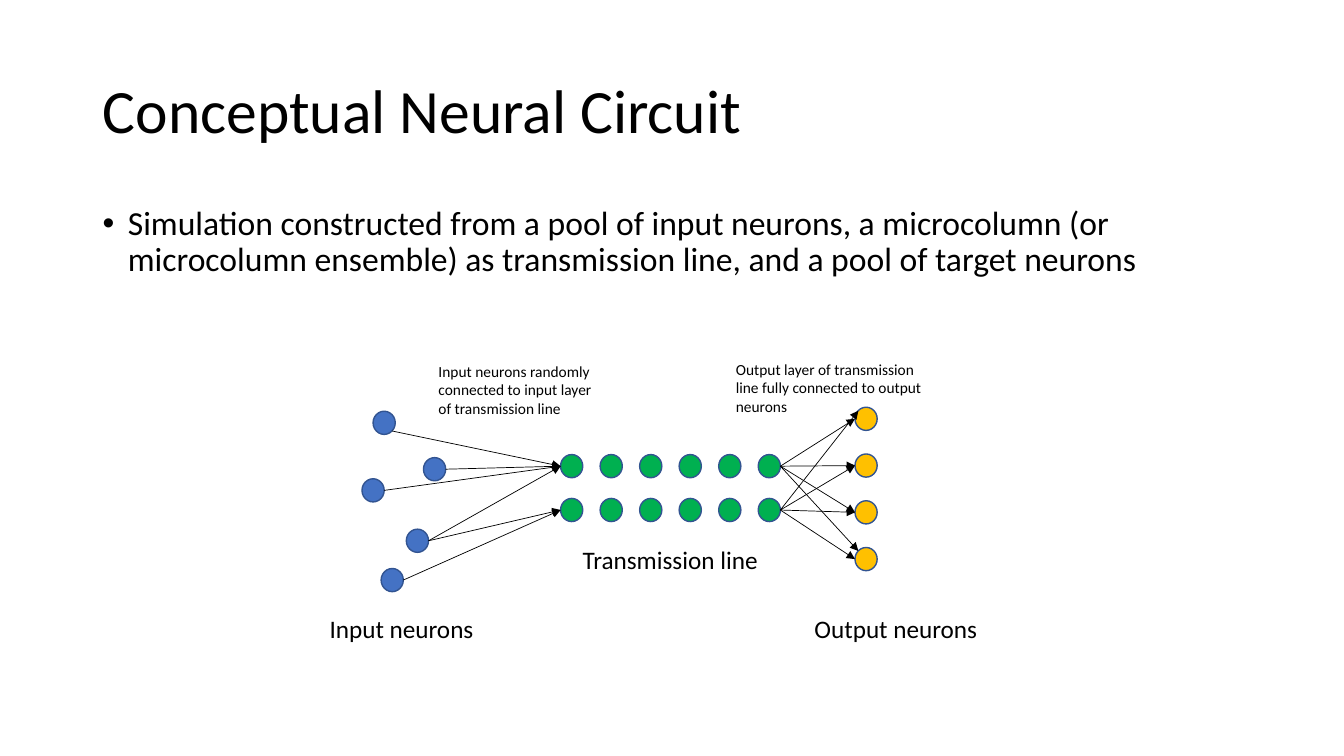
"""Build the Conceptual Neural Circuit slide."""
import pptx
import pptx.util
import pptx.dml.color
import pptx.enum.shapes
import pptx.enum.text
import pptx.oxml
import pptx.oxml.ns

Inches, Pt = pptx.util.Inches, pptx.util.Pt
RGB = pptx.dml.color.RGBColor
Anchor = pptx.enum.text.MSO_ANCHOR

COLORS = {"text": "000000", "input": "4472C4", "column": "00B050",
          "output": "FFC000", "edge": "325491"}
TITLE = "Conceptual Neural Circuit"
BODY = ("Simulation constructed from a pool of input neurons, a microcolumn "
        "(or microcolumn ensemble) as transmission line, and a pool of target neurons")
LABELS = [("Input neurons", (3.17, 6.04, 1.65, 0.4)),
          ("Transmission line", (5.68, 5.35, 1.96, 0.4)),
          ("Output neurons", (7.98, 6.04, 1.84, 0.4))]
NOTES = [("Input neurons randomly connected to input layer of transmission line",
          (4.25, 3.54, 1.79, 0.66)),
         ("Output layer of transmission line fully connected to output neurons",
          (7.2, 3.52, 2.1, 0.66))]

WIDE, HIGH = 0.22, 0.23
COLS, ROWS, OUTS = 6, 2, 4
SITES = {"left": (0, 0.5), "right": (1, 0.5),
         "upper": (0.15, 0.15), "lower": (0.85, 0.85)}
INPUTS = [(3.7, 4.08), (3.59, 4.75), (4.2, 4.54), (4.03, 5.25), (3.78, 5.64)]
COLUMN = [[(5.56 + 0.392 * col, 4.51 + 0.435 * row) for col in range(COLS)]
          for row in range(ROWS)]
OUTPUTS = [(8.48, 4.04 + 0.464 * row) for row in range(OUTS)]
IN_LINKS = [(0, 0), (1, 0), (2, 0), (3, 0), (3, 1), (4, 1)]
CROSSED = [(0, 3), (1, 0)]

deck = pptx.Presentation()
deck.slide_width, deck.slide_height = Inches(13.33), Inches(7.5)
slide = deck.slides.add_slide(deck.slide_layouts[5])
shapes = slide.shapes


def write(text, box, size=18, wrap=True, anchor=Anchor.TOP, shape=None,
          space=None, before=0, bullet=False):
    """Put formatted text in a new box or in the given shape."""
    place = [Inches(n) for n in box]
    shape = shape or shapes.add_textbox(*place)
    shape.left, shape.top, shape.width, shape.height = place
    frame = shape.text_frame
    frame.text = text
    frame.word_wrap = wrap
    frame.vertical_anchor = anchor
    para = frame.paragraphs[0]
    para.alignment = pptx.enum.text.PP_ALIGN.LEFT
    para.line_spacing = space
    para.space_before = Pt(before)
    font = para.runs[0].font
    font.name, font.size = "Calibri", Pt(size)
    font.color.rgb = RGB.from_string(COLORS["text"])
    if bullet:
        props = para._p.get_or_add_pPr()
        props.set("marL", str(Inches(0.25)))
        props.set("indent", str(Inches(-0.25)))
        for tag, key, value in [("buFont", "typeface", "Arial"),
                                ("buChar", "char", "\u2022")]:
            mark = pptx.oxml.parse_xml(
                f'<a:{tag} {pptx.oxml.ns.nsdecls("a")} {key}="{value}"/>')
            props.append(mark)


def neuron(spot, kind):
    """Draw one neuron as a filled ellipse."""
    cell = shapes.add_shape(pptx.enum.shapes.MSO_SHAPE.OVAL,
                            *[Inches(n) for n in (*spot, WIDE, HIGH)])
    cell.shadow.inherit = False
    cell.fill.solid()
    cell.fill.fore_color.rgb = RGB.from_string(COLORS[kind])
    cell.line.color.rgb = RGB.from_string(COLORS["edge"])
    cell.line.width = Pt(1)


def site(spot, name):
    """Return a point on the rim of a neuron."""
    across, down = SITES[name]
    return Inches(spot[0] + WIDE * across), Inches(spot[1] + HIGH * down)


def link(start, end, leave="right", enter="left"):
    """Draw an arrow from one neuron to another."""
    line = shapes.add_connector(pptx.enum.shapes.MSO_CONNECTOR.STRAIGHT,
                                *site(start, leave), *site(end, enter))
    line.line.color.rgb = RGB.from_string(COLORS["text"])
    line.line.width = Pt(0.5)
    names = pptx.oxml.ns.nsdecls("a")
    line.line._get_or_add_ln().append(
        pptx.oxml.parse_xml(f'<a:tailEnd {names} type="triangle"/>'))
    line._element.spPr.append(pptx.oxml.parse_xml(f"<a:effectLst {names}/>"))


write(TITLE, (0.92, 0.4, 7.67, 1.45), size=44, anchor=Anchor.MIDDLE,
      shape=shapes.title, space=0.9)
write(BODY, (0.92, 2, 11.5, 1.47), size=24, space=0.9, before=10, bullet=True)

for kind, spots in [("input", INPUTS), ("column", sum(COLUMN, [])),
                    ("output", OUTPUTS)]:
    for spot in spots:
        neuron(spot, kind)

for start, row in IN_LINKS:
    link(INPUTS[start], COLUMN[row][0], leave="right" if start else "lower")
for row in range(ROWS):
    for end in range(OUTS):
        link(COLUMN[row][-1], OUTPUTS[end],
             enter="upper" if (row, end) in CROSSED else "left")

for text, box in LABELS:
    write(text, box, wrap=False)
for text, box in NOTES:
    write(text, box, size=11)

deck.save("out.pptx")
